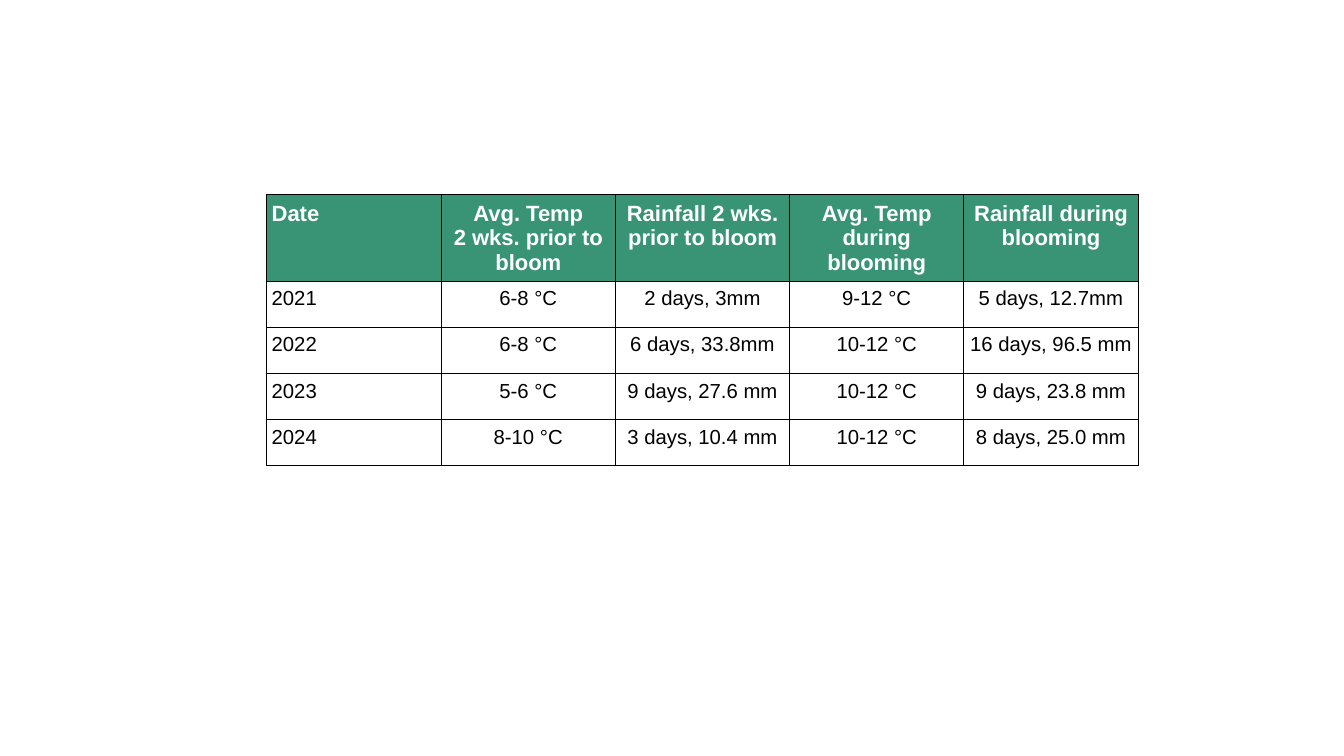
from lxml.etree import SubElement
from pptx import Presentation
from pptx.dml.color import RGBColor
from pptx.enum.text import PP_ALIGN
from pptx.oxml.ns import qn
from pptx.util import Cm, Pt

HEADER = ["Date", "Avg. Temp\n2 wks. prior to bloom", "Rainfall 2 wks. prior to bloom",
          "Avg. Temp during blooming", "Rainfall during blooming"]
SEASONS = [
    ["2021", "6-8 °C", "2 days, 3mm", "9-12 °C", "5 days, 12.7mm"],
    ["2022", "6-8 °C", "6 days, 33.8mm", "10-12 °C", "16 days, 96.5 mm"],
    ["2023", "5-6 °C", "9 days, 27.6 mm", "10-12 °C", "9 days, 23.8 mm"],
    ["2024", "8-10 °C", "3 days, 10.4 mm", "10-12 °C", "8 days, 25.0 mm"],
]
GREEN, WHITE, BLACK = "389475", "FFFFFF", "000000"
LEFT, TOP = 5.56, 4.06
COLUMN_WIDTH, HEADER_HEIGHT, ROW_HEIGHT = 3.63, 1.79, 0.96


def color(hex_code):
    return RGBColor.from_string(hex_code)


def add_borders(cell, hex_code, width):
    properties = cell._tc.get_or_add_tcPr()
    for side in ("a:lnL", "a:lnR", "a:lnT", "a:lnB"):
        line = SubElement(properties, qn(side), w=str(Pt(width)))
        fill = SubElement(line, qn("a:solidFill"))
        SubElement(fill, qn("a:srgbClr"), val=hex_code)


def fill_cell(cell, text, is_header, is_date):
    add_borders(cell, BLACK, 0.57)
    if is_header:
        cell.fill.solid()
        cell.fill.fore_color.rgb = color(GREEN)
    else:
        cell.fill.background()
    cell.margin_left = cell.margin_right = Cm(0.1)
    cell.margin_top = cell.margin_bottom = Cm(0.13)
    para = cell.text_frame.paragraphs[0]
    para.text = text
    para.alignment = PP_ALIGN.LEFT if is_date else PP_ALIGN.CENTER
    para.font.name = "Arial"
    para.font.size = Pt(13 if is_header else 12)
    para.font.bold = is_header
    para.font.color.rgb = color(WHITE if is_header else BLACK)


def main():
    deck = Presentation()
    deck.slide_width, deck.slide_height = Cm(28), Cm(15.75)
    page = deck.slides.add_slide(deck.slide_layouts[6])

    rows = [HEADER] + SEASONS
    heights = [HEADER_HEIGHT] + [ROW_HEIGHT] * len(SEASONS)
    table = page.shapes.add_table(
        len(rows), len(HEADER), Cm(LEFT), Cm(TOP),
        Cm(COLUMN_WIDTH * len(HEADER)), Cm(sum(heights))).table
    table.horz_banding = False
    table.first_row = False
    for column in table.columns:
        column.width = Cm(COLUMN_WIDTH)
    for row_index, (texts, height) in enumerate(zip(rows, heights)):
        table.rows[row_index].height = Cm(height)
        for column_index, text in enumerate(texts):
            fill_cell(table.cell(row_index, column_index), text,
                      is_header=row_index == 0, is_date=column_index == 0)

    deck.save("out.pptx")


if __name__ == "__main__":
    main()
